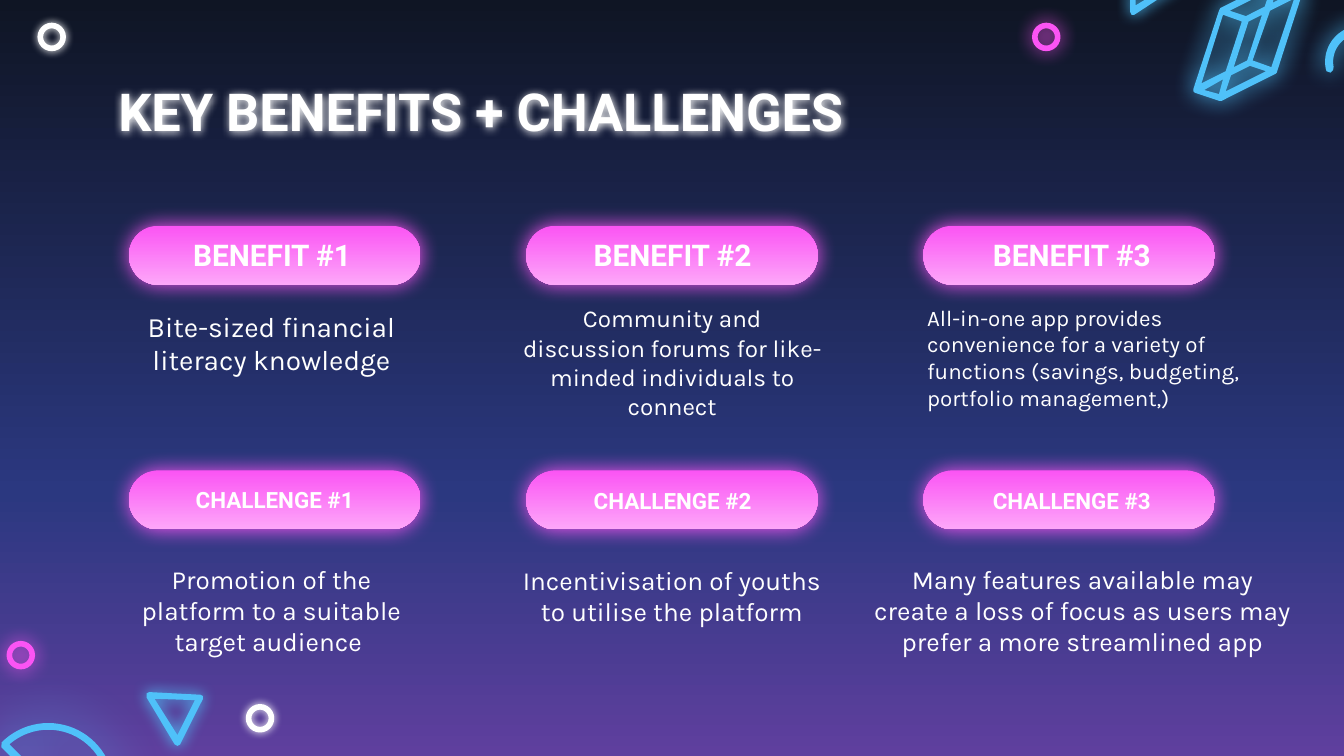
import math
import pptx
import pptx.util
import pptx.dml.color
import pptx.enum.shapes
import pptx.enum.text
import pptx.oxml
import pptx.oxml.ns

Inches, Pt = pptx.util.Inches, pptx.util.Pt
RGB = pptx.dml.color.RGBColor.from_string
SHAPE = pptx.enum.shapes.MSO_SHAPE
ALIGN = pptx.enum.text.PP_ALIGN
ANCHOR = pptx.enum.text.MSO_ANCHOR
qn = pptx.oxml.ns.qn

THEME = {
    "head": "Roboto", "body": "Karla",
    "white": "FFFFFF", "pink": "FB54F4", "blue": "4FC1F9",
    "back": [(0, "0F1524"), (65, "2B3880"), (100, "5F3F9E")],
    "pill": [(0, "FB54F4"), (100, "FDA7F9")],
    "title": 28, "benefit": 16, "challenge": 12,
}

# Content: rows of (label, label left or None for inside the pill,
# note, note size, alignment, note box)
TITLE = "KEY BENEFITS + CHALLENGES"
ROWS = [
    ("benefit", 1.68, 1.7, [
        ("BENEFIT #1", 1.15, "Bite-sized financial literacy knowledge",
         15, ALIGN.CENTER, (0.78, 2.2, 2.48, 0.8)),
        ("BENEFIT #2", 4.13, "Community and discussion forums for like-minded "
         "individuals to connect", 13, ALIGN.CENTER, (3.79, 2.16, 2.42, 0.9)),
        ("BENEFIT #3", 7.1, "All-in-one app provides convenience for a variety "
         "of functions (savings, budgeting, portfolio management,)",
         12, ALIGN.LEFT, (6.8, 2.16, 2.7, 1.07)),
    ]),
    ("challenge", 3.5, 3.53, [
        ("CHALLENGE #1", None,
         "Promotion of the platform to a suitable target audience ",
         14, ALIGN.CENTER, (0.78, 4.09, 2.48, 0.8)),
        ("CHALLENGE #2", 4.13,
         "Incentivisation of youths to utilise the platform",
         14, ALIGN.CENTER, (3.76, 4.1, 2.48, 0.8)),
        ("CHALLENGE #3", 7.1, "Many features available may create a loss of "
         "focus as users may prefer a more streamlined app",
         14, ALIGN.CENTER, (6.4, 4.09, 3.31, 1.07)),
    ]),
]
PILL_X, PILL_STEP, PILL_W, PILL_H = 0.96, 2.955, 2.17, 0.44
LABEL_W, LABEL_H = 1.75, 0.39

# Decoration: rings (left, top, colour, glow) and neon outlines
RINGS = [
    (7.7, 0.19, "pink", 10.1), (0.3, 0.19, "white", 4.5),
    (1.85, 5.26, "white", 4.5), (0.07, 4.79, "pink", 10.1),
]


def arc(x, y, r, start, end, count=40):
    """Points along an arc; degrees run clockwise from the right."""
    turns = [math.radians(start + (end - start) * i / count)
             for i in range(count + 1)]
    return [(x + r * math.cos(t), y + r * math.sin(t)) for t in turns]


CUBE = [
    [(9.48, -0.14), (9.08, 0.06), (9.07, 0.08), (8.88, 0.66), (8.88, 0.68),
     (8.89, 0.69), (9.07, 0.75), (9.09, 0.75), (9.49, 0.55), (9.5, 0.54),
     (9.69, -0.05), (9.69, -0.07), (9.68, -0.08), (9.49, -0.14)],
    [(9.61, -0.05), (9.47, 0.02), (9.5, -0.09)],
    [(9.45, -0.07), (9.41, 0.05), (9.27, 0.12), (9.15, 0.08)],
    [(9.63, -0.01), (9.46, 0.5), (9.32, 0.45), (9.45, 0.08)],
    [(9.39, 0.11), (9.28, 0.45), (9.18, 0.5), (9.29, 0.16)],
    [(9.24, 0.16), (9.12, 0.53), (8.94, 0.62), (9.1, 0.11)],
    [(9.42, 0.53), (9.12, 0.68), (9.16, 0.56), (9.3, 0.49)],
    [(9.1, 0.59), (9.07, 0.7), (8.96, 0.67)],
]
TOP_TRI = [
    [(8.43, -0.31), (8.41, -0.28), (8.41, 0.09), (8.42, 0.11), (8.44, 0.11),
     (8.73, -0.08), (8.74, -0.1), (8.73, -0.12), (8.44, -0.3)],
    [(8.45, -0.24), (8.68, -0.1), (8.45, 0.04)],
]
LOW_TRI = [
    [(1.11, 5.15), (1.09, 5.16), (1.09, 5.19), (1.3, 5.54), (1.32, 5.55),
     (1.34, 5.54), (1.51, 5.2), (1.51, 5.18), (1.49, 5.17)],
    [(1.15, 5.2), (1.45, 5.21), (1.32, 5.47)],
]
HOOK = [arc(10.13, 0.46, 0.27, 170, 308) + arc(10.13, 0.46, 0.21, 308, 170)
        + [(9.92, 0.52), (9.9, 0.54), (9.87, 0.53)]]
DOME = [
    arc(0.36, 5.87, 0.49, 225, 405) + [(0.69, 6.23), (0.67, 6.22), (0.01, 5.56)],
    arc(0.36, 5.87, 0.44, 229, 402),
]
NEON = [(CUBE, 12.4), (TOP_TRI, 7.9), (HOOK, 12.4), (DOME, 27), (LOW_TRI, 7.9)]


def grade(fill, root, stops):
    """Fill from top to bottom with the given stops."""
    fill.gradient()
    fill.gradient_angle = 270
    box = root.find(".//" + qn("a:gsLst"))
    for old in list(box):
        box.remove(old)
    for spot, tone in stops:
        stop = box.makeelement(qn("a:gs"), {"pos": str(spot * 1000)})
        stop.append(stop.makeelement(qn("a:srgbClr"), {"val": tone}))
        box.append(stop)


def glow(shape, tone, blur):
    """Give a shape a soft halo in place of the default shadow."""
    shape.shadow.inherit = False
    box = shape.element.spPr.find(qn("a:effectLst"))
    halo = box.makeelement(qn("a:outerShdw"), {
        "blurRad": str(Pt(blur)), "dist": "0", "dir": "0",
        "algn": "bl", "rotWithShape": "0"})
    halo.append(halo.makeelement(qn("a:srgbClr"), {"val": tone}))
    box.append(halo)


def write(shape, text, font, size, bold, align, anchor=ANCHOR.TOP):
    frame = shape.text_frame
    frame.text = text
    frame.word_wrap = True
    frame.auto_size = pptx.enum.text.MSO_AUTO_SIZE.NONE
    frame.vertical_anchor = anchor
    frame.margin_left = frame.margin_right = Inches(0.1)
    frame.margin_top = frame.margin_bottom = Inches(0.1)
    para = frame.paragraphs[0]
    para.alignment = align
    style = para.runs[0].font
    style.name, style.size, style.bold = font, Pt(size), bold
    style.color.rgb = RGB(THEME["white"])


def trace(shapes, loops, blur):
    """Draw one outline; the loops after the first are holes."""
    pen = None
    for loop in loops:
        pts = [(Inches(x), Inches(y)) for x, y in loop]
        if pen is None:
            pen = shapes.build_freeform(*pts[0])
        else:
            pen.move_to(*pts[0])
        pen.add_line_segments(pts[1:], close=True)
    shape = pen.convert_to_shape()
    shape.fill.solid()
    shape.fill.fore_color.rgb = RGB(THEME["blue"])
    shape.line.fill.background()
    glow(shape, THEME["blue"], blur)


def main():
    deck = pptx.Presentation()
    deck.slide_width = Inches(10)
    deck.slide_height = deck.slide_width * 9 // 16
    slide = deck.slides.add_slide(deck.slide_layouts[5])
    shapes = slide.shapes
    grade(slide.background.fill, slide.element, THEME["back"])

    # Decoration
    for loops, blur in NEON:
        trace(shapes, loops, blur)
    for x, y, tone, blur in RINGS:
        ring = shapes.add_shape(SHAPE.OVAL, Inches(x), Inches(y),
                                Inches(0.17), Inches(0.17))
        ring.fill.background()
        ring.line.color.rgb = RGB(THEME[tone])
        ring.line.width = Pt(3)
        glow(ring, THEME[tone], blur)

    # Title
    title = shapes.title
    title.left, title.top = Inches(0.78), Inches(0.49)
    title.width, title.height = Inches(8.44), Inches(0.63)
    write(title, TITLE, THEME["head"], THEME["title"], True, ALIGN.LEFT)
    glow(title, THEME["white"], 4.5)

    # Pills, labels and notes
    for kind, top, high, cells in ROWS:
        for col, (label, left, note, size, align, box) in enumerate(cells):
            pill = shapes.add_shape(
                SHAPE.ROUNDED_RECTANGLE, Inches(PILL_X + col * PILL_STEP),
                Inches(top), Inches(PILL_W), Inches(PILL_H))
            pill.adjustments[0] = 0.5
            grade(pill.fill, pill.element, THEME["pill"])
            pill.line.fill.background()
            glow(pill, THEME["pink"], 11.2)
            tag = pill
            if left is not None:
                tag = shapes.add_textbox(Inches(left), Inches(high),
                                         Inches(LABEL_W), Inches(LABEL_H))
            write(tag, label, THEME["head"], THEME[kind], True,
                  ALIGN.CENTER, ANCHOR.MIDDLE)
            text = shapes.add_textbox(*map(Inches, box))
            write(text, note, THEME["body"], size, False, align)

    deck.save("out.pptx")


if __name__ == "__main__":
    main()
